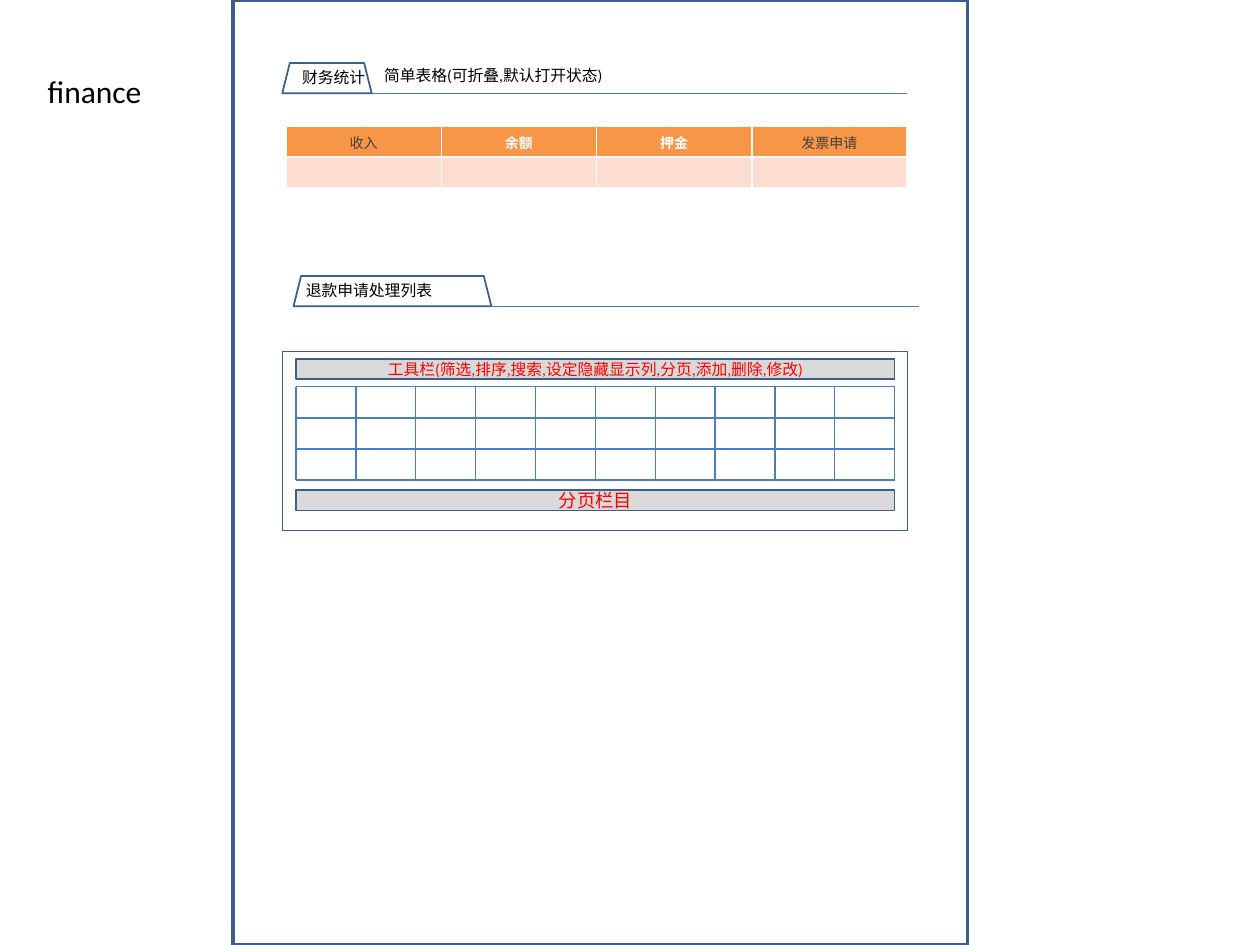
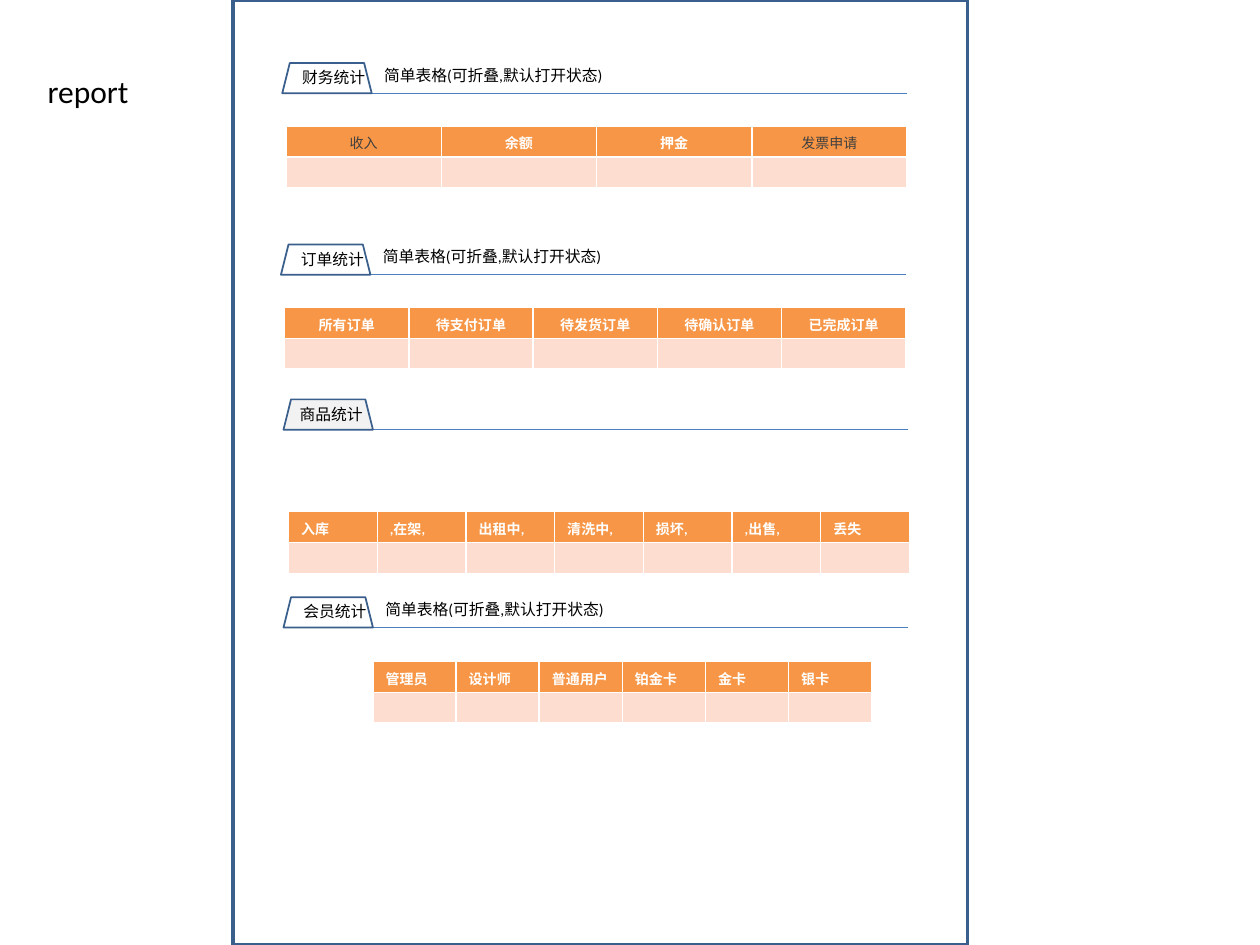
"""Build the finance and report wireframe slides."""
import dataclasses

import lxml.etree
import pptx
import pptx.dml.color
import pptx.enum.dml
import pptx.enum.shapes
import pptx.enum.text
import pptx.oxml.ns
import pptx.util

Inches = pptx.util.Inches
Shapes = pptx.enum.shapes.MSO_SHAPE
Align = pptx.enum.text.PP_ALIGN


@dataclasses.dataclass(frozen=True)
class Theme:
    outline: str = "3A5F8C"
    rule: str = "4B7EBC"
    header: str = "F79646"
    body: str = "FCDDCF"
    bar: str = "D9D9D9"
    tab: str = "F2F2F2"
    black: str = "000000"
    white: str = "FFFFFF"
    dark: str = "404040"
    red: str = "FF0000"
    latin: str = "Calibri"
    cjk: str = "Noto Sans CJK SC"
    title_size: float = 18
    pager_size: float = 10.5
    label_size: float = 9
    cell_size: float = 8


THEME = Theme()
NOTE = "简单表格(可折叠,默认打开状态)".translate(str.maketrans("(),", "(),"))
PLAIN_HEADERS = ("收入", "发票申请")
SECTION_WIDTH = 4.96
TAB_HEIGHT = 0.24
ROW_HEIGHT = 0.245

FINANCE = {
    "label": "财务统计", "left": 2.24, "rule": 0.74, "note": NOTE,
    "headers": ("收入", "余额", "押金", "发票申请"), "align": Align.CENTER,
}
REFUNDS = {"label": "退款申请处理列表", "left": 2.33, "rule": 2.43, "tab_width": 1.57, "indent": 0}
ORDERS = {
    "label": "订单统计", "left": 2.23, "rule": 2.18, "note": NOTE,
    "headers": ("所有订单", "待支付订单", "待发货订单", "待确认订单", "已完成订单"),
    "align": Align.CENTER,
}
GOODS = {
    "label": "商品统计", "left": 2.25, "rule": 3.41, "indent": 0.03, "tab_fill": THEME.tab,
    "headers": ("入库", ",在架,", "出租中,", "清洗中,", "损坏,", ",出售,", "丢失"),
    "table_offset": (0.04, 0.65),
}
MEMBERS = {
    "label": "会员统计", "left": 2.25, "rule": 4.98, "note": NOTE,
    "headers": ("管理员", "设计师", "普通用户", "铂金卡", "金卡", "银卡"),
    "table_offset": (0.71, 0.27), "table_width": 3.96,
}
SLIDES = (
    {"title": "finance", "title_width": 0.96, "sections": (FINANCE, REFUNDS)},
    {"title": "report", "title_width": 0.85, "sections": (FINANCE, ORDERS, GOODS, MEMBERS)},
)
LIST_FRAME = (2.24, 2.79, 4.96, 1.42)
GRID = {"left": 2.35, "top": 3.07, "width": 4.75, "height": 0.74, "columns": 10, "rows": 3}
BARS = (
    ("工具栏(筛选,排序,搜索,设定隐藏显示列,分页,添加,删除,修改)".translate(
        str.maketrans("(),", "(),")), 2.85, THEME.label_size),
    ("分页栏目", 3.89, THEME.pager_size),
)


def color(value):
    return pptx.dml.color.RGBColor.from_string(value)


def write(frame, text, size=THEME.label_size, ink=THEME.black, font=THEME.latin,
          bold=None, align=None):
    paragraph = frame.paragraphs[0]
    paragraph.alignment = align
    if not text:
        lxml.etree.SubElement(paragraph._p, pptx.oxml.ns.qn("a:endParaRPr"), sz=str(int(size * 100)))
        return
    run = paragraph.add_run()
    run.text = text
    run.font.size = pptx.util.Pt(size)
    run.font.name = font
    run.font.bold = bold
    run.font.color.rgb = color(ink)
    east_asian = lxml.etree.SubElement(run._r.get_or_add_rPr(), pptx.oxml.ns.qn("a:ea"))
    east_asian.set("typeface", THEME.cjk)


def add_text(slide, text, box, wrap=True, **style):
    shape = slide.shapes.add_textbox(*map(Inches, box))
    shape.text_frame.word_wrap = wrap
    shape.text_frame.auto_size = pptx.enum.text.MSO_AUTO_SIZE.SHAPE_TO_FIT_TEXT
    write(shape.text_frame, text, **style)


def add_outline(slide, kind, box, weight, fill=None):
    shape = slide.shapes.add_shape(kind, *map(Inches, box))
    shape.shadow.inherit = False
    if fill:
        shape.fill.solid()
        shape.fill.fore_color.rgb = color(fill)
    else:
        shape.fill.background()
    shape.line.color.rgb = color(THEME.outline)
    shape.line.width = pptx.util.Pt(weight)
    return shape


def add_rule(slide, *ends):
    connector = slide.shapes.add_connector(
        pptx.enum.shapes.MSO_CONNECTOR.STRAIGHT, *map(Inches, ends))
    connector.line.color.rgb = color(THEME.rule)
    connector.line.width = pptx.util.Pt(0.75)
    lxml.etree.SubElement(connector._element.spPr, pptx.oxml.ns.qn("a:effectLst"))


def fill_cell(cell, text, fill, **style):
    cell.fill.solid()
    cell.fill.fore_color.rgb = color(fill)
    write(cell.text_frame, text, size=THEME.cell_size, **style)


def add_statistics(slide, headers, left, top, width, align):
    table = slide.shapes.add_table(
        2, len(headers), *map(Inches, (left, top, width, 2 * ROW_HEIGHT))).table
    for column, header in enumerate(headers):
        table.columns[column].width = Inches(width / len(headers))
        plain = header in PLAIN_HEADERS
        fill_cell(table.cell(0, column), header, THEME.header, align=align, bold=not plain,
                  ink=THEME.dark if plain else THEME.white,
                  font=THEME.cjk if plain else THEME.latin)
        fill_cell(table.cell(1, column), "", THEME.body)


def add_section(slide, label, left, rule, note=None, headers=(), align=None, tab_width=0.71,
                tab_fill=None, indent=0.06, table_offset=(0.03, 0.26), table_width=4.93):
    add_rule(slide, left, rule, left + SECTION_WIDTH, rule)
    add_outline(slide, Shapes.TRAPEZOID, (left, rule - TAB_HEIGHT, tab_width, TAB_HEIGHT), 1, tab_fill)
    add_text(slide, label, (left + indent, rule - 0.25, tab_width, 0.25))
    if note:
        add_text(slide, note, (left + tab_width, rule - 0.27, 2.52, 0.25))
    if headers:
        across, down = table_offset
        add_statistics(slide, headers, left + across, rule + down, table_width, align)


def add_list(slide):
    frame = add_outline(slide, Shapes.RECTANGLE, LIST_FRAME, 0.25)
    frame.line.dash_style = pptx.enum.dml.MSO_LINE.ROUND_DOT
    left, top = GRID["left"], GRID["top"]
    right, bottom = left + GRID["width"], top + GRID["height"]
    for row in range(GRID["rows"] + 1):
        y = top + row * GRID["height"] / GRID["rows"]
        add_rule(slide, left, y, right, y)
    for column in range(GRID["columns"] + 1):
        x = left + column * GRID["width"] / GRID["columns"]
        add_rule(slide, x, top, x, bottom)
    for text, bar_top, size in BARS:
        bar = add_outline(slide, Shapes.RECTANGLE, (left, bar_top, GRID["width"], 0.16), 0.75, THEME.bar)
        bar.text_frame.vertical_anchor = pptx.enum.text.MSO_ANCHOR.MIDDLE
        bar.text_frame.word_wrap = True
        write(bar.text_frame, text, size=size, ink=THEME.red, align=Align.CENTER)


def main():
    presentation = pptx.Presentation()
    presentation.slide_width, presentation.slide_height = Inches(10), Inches(7.5)
    for content in SLIDES:
        slide = presentation.slides.add_slide(presentation.slide_layouts[6])
        add_outline(slide, Shapes.RECTANGLE, (1.85, 0, 5.83, 7.5), 2)
        add_text(slide, content["title"], (0.28, 0.52, content["title_width"], 0.4),
                 wrap=False, size=THEME.title_size)
        for section in content["sections"]:
            add_section(slide, **section)
        if REFUNDS in content["sections"]:
            add_list(slide)
    presentation.save("out.pptx")


main()
